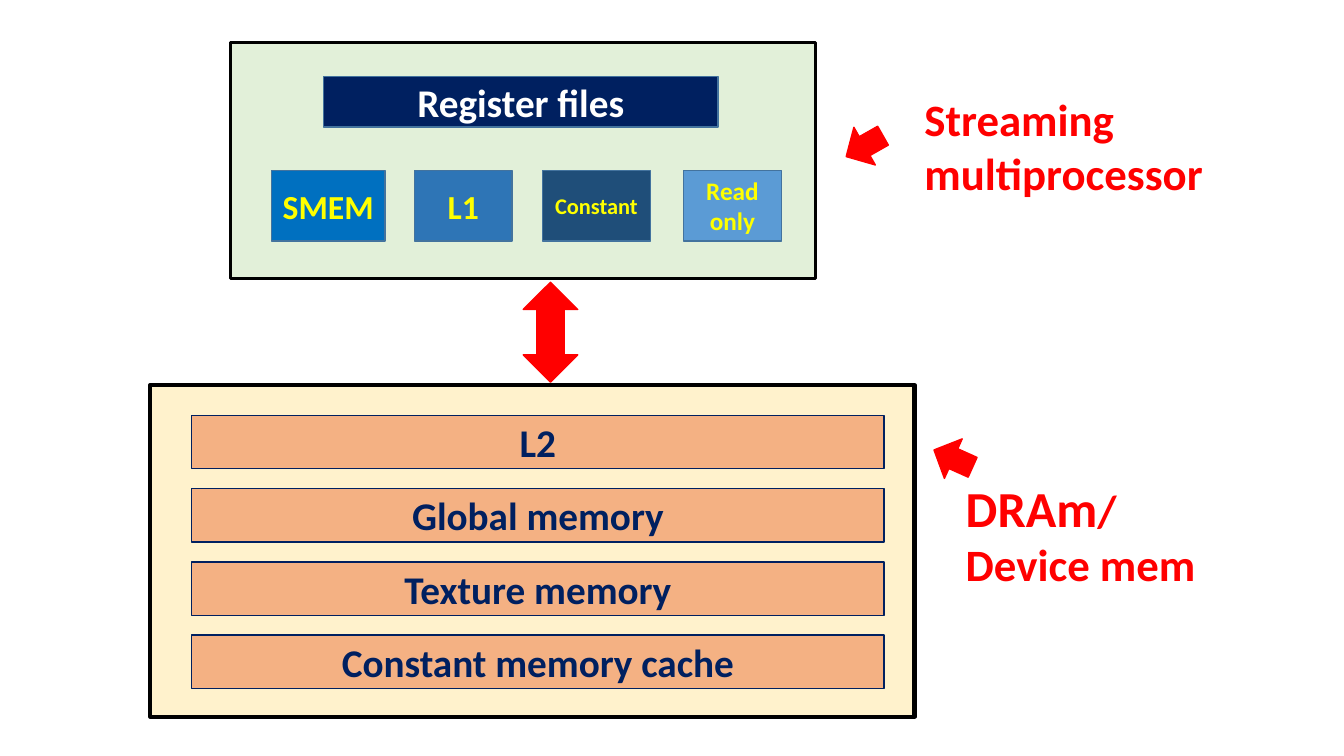
"""Build a slide of the GPU memory hierarchy: multiprocessor above, device memory below."""
from pptx import Presentation
from pptx.dml.color import RGBColor as RGB
from pptx.enum.shapes import MSO_SHAPE as SHAPE
from pptx.enum.text import MSO_ANCHOR as ANCHOR, PP_ALIGN as ALIGN
from pptx.util import Inches, Pt

C = {
    "black": "000000", "white": "FFFFFF", "red": "FF0000", "yellow": "FFFF00",
    "green": "E2F0D9", "cream": "FFF2CC", "orange": "F4B183", "navy": "002060",
    "edge": "43739E", "smem": "0070C0", "l1": "2E75B6", "constant": "1F4E79",
    "readonly": "5B9BD5",
}

prs = Presentation()
prs.slide_width, prs.slide_height = Inches(13.33), Inches(7.5)
s = prs.slides.add_slide(prs.slide_layouts[6])


def style(font, size, color):
    font.name, font.size, font.bold = "Calibri", Pt(size), True
    font.color.rgb = RGB.from_string(C[color])


def add_block(kind, box, fill, line, weight=1, text="", size=28, color="white"):
    sp = s.shapes.add_shape(kind, *map(Inches, box))
    sp.shadow.inherit = False
    sp.fill.solid()
    sp.fill.fore_color.rgb = RGB.from_string(C[fill])
    sp.line.color.rgb = RGB.from_string(C[line])
    sp.line.width = Pt(weight)
    if text:
        tf = sp.text_frame
        tf.word_wrap, tf.vertical_anchor = True, ANCHOR.MIDDLE
        tf.margin_left = tf.margin_right = Inches(0.08)
        p = tf.paragraphs[0]
        p.text, p.alignment = text, ALIGN.CENTER
        style(p.font, size, color)
    return sp


add_block(SHAPE.RECTANGLE, (2.29, 0.42, 5.8, 2.34), "green", "black", 2.25)
add_block(SHAPE.RECTANGLE, (1.49, 3.82, 7.58, 3.29), "cream", "black", 3)

row_top, row_pitch = 4.12, 0.727
for i, text in enumerate(["L2", "Global memory", "Texture memory", "Constant memory cache"]):
    add_block(SHAPE.RECTANGLE, (1.9, row_top + i * row_pitch, 6.87, 0.53),
              "orange", "navy", text=text, color="navy")

add_block(SHAPE.RECTANGLE, (3.21, 0.76, 3.91, 0.5), "navy", "edge", text="Register files")

for text, left, width, fill, size in [
    ("SMEM", 2.69, 1.13, "smem", 24),
    ("L1", 4.11, 0.97, "l1", 24),
    ("Constant", 5.38, 1.07, "constant", 16),
    ("Read only", 6.78, 0.97, "readonly", 18),
]:
    add_block(SHAPE.RECTANGLE, (left, 1.69, width, 0.7), fill, "edge",
              text=text, size=size, color="yellow")

add_block(SHAPE.UP_DOWN_ARROW, (5.19, 2.8, 0.54, 0.99), "red", "red")
for left, top, angle in [(8.36, 1.24, 60.4), (9.24, 4.34, 114.2)]:
    sp = add_block(SHAPE.DOWN_ARROW, (left, top, 0.43, 0.42), "red", "red")
    sp.rotation = angle

for box, lines in [
    ((9.07, 0.86, 3.92, 1.18), [[("Streaming multiprocessor", 32)]]),
    ((9.48, 4.68, 3.78, 1.25), [[("DRAm", 36), ("/", 32)], [("Device mem", 32)]]),
]:
    tf = s.shapes.add_textbox(*map(Inches, box)).text_frame
    tf.word_wrap = True
    for i, runs in enumerate(lines):
        p = tf.add_paragraph() if i else tf.paragraphs[0]
        for text, size in runs:
            r = p.add_run()
            r.text = text
            style(r.font, size, "red")

prs.save("out.pptx")
